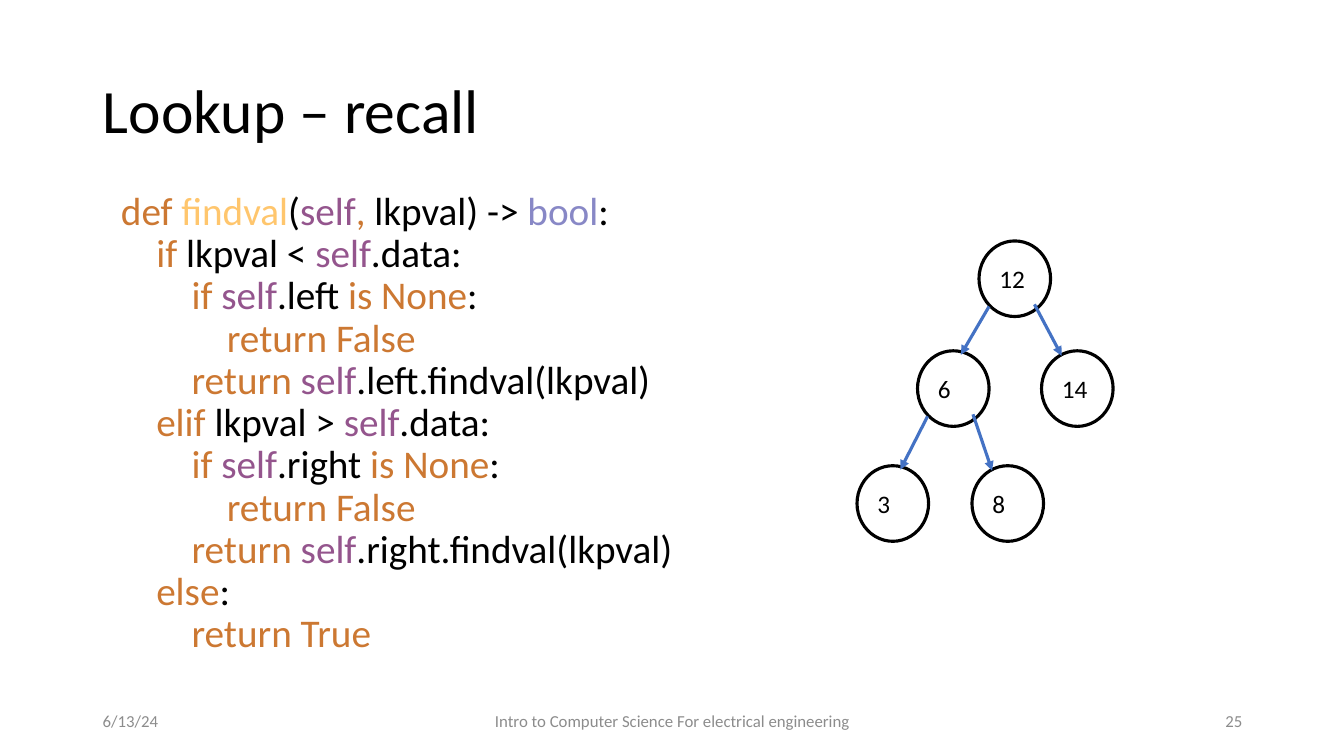
"""Build the slide that recalls lookup in a binary search tree."""
from lxml import etree
from pptx import Presentation, util as u
from pptx.dml.color import RGBColor
from pptx.enum import shapes, text
from pptx.oxml.ns import qn

COLORS = {"plain": "000000", "key": "CC7832", "name": "FFC66D", "self": "94558D",
          "type": "8888C6", "arrow": "4472C4", "footer": "8C8C8C"}
FONT = "Calibri"
TITLE = "Lookup – recall"
SELF = ("self", "self")
CODE = [
    (0, [("key", "def "), ("name", "findval"), ("plain", "("), SELF, ("key", ", "),
         ("plain", "lkpval) -> "), ("type", "bool"), ("plain", ":")]),
    (1, [("key", "if "), ("plain", "lkpval < "), SELF, ("plain", ".data:")]),
    (2, [("key", "if "), SELF, ("plain", ".left "), ("key", "is None"), ("plain", ":")]),
    (3, [("key", "return False")]),
    (2, [("key", "return "), SELF, ("plain", ".left.findval(lkpval)")]),
    (1, [("key", "elif "), ("plain", "lkpval > "), SELF, ("plain", ".data:")]),
    (2, [("key", "if "), SELF, ("plain", ".right "), ("key", "is None"), ("plain", ":")]),
    (3, [("key", "return False")]),
    (2, [("key", "return "), SELF, ("plain", ".right.findval(lkpval)")]),
    (1, [("key", "else"), ("plain", ":")]),
    (2, [("key", "return True")]),
]
NODES = {"12": (9.71, 2.39), "6": (9.1, 3.48), "14": (10.33, 3.48),
         "3": (8.5, 4.62), "8": (9.64, 4.62)}
EDGES = [("12", "6", "left"), ("12", "14", "right"), ("6", "3", "left"), ("6", "8", "right")]
EDGE_OFFSETS = {"left": ((0.1, 0.65), (0.43, 0.04)), "right": ((0.55, 0.63), (0.2, 0.05))}
NODE_SIZE = (0.71, 0.75)
INDENT = 0.35
FOOTERS = [
    ("6/13/24", 0.92, 3, text.PP_ALIGN.LEFT),
    ("Intro to Computer Science For electrical engineering", 4.42, 4.5, text.PP_ALIGN.CENTER),
    ("25", 9.42, 3, text.PP_ALIGN.RIGHT),
]


def inches(*values):
    return [u.Inches(value) for value in values]


def place(shape, *bounds):
    shape.left, shape.top, shape.width, shape.height = inches(*bounds)


def write(para, words, size=18, color="plain", align=text.PP_ALIGN.LEFT):
    para.alignment = align
    span = para.add_run()
    span.text = words
    span.font.name = FONT
    span.font.size = u.Pt(size)
    span.font.color.rgb = RGBColor.from_string(COLORS[color])


def add_code(body):
    place(body, 1.1, 1.85, 6.95, 4.76)
    frame = body.text_frame
    frame.auto_size = text.MSO_AUTO_SIZE.TEXT_TO_FIT_SHAPE
    for number, (level, tokens) in enumerate(CODE):
        para = frame.add_paragraph() if number else frame.paragraphs[0]
        para.line_spacing = 0.9
        para.space_before = u.Pt(0 if number else 10)
        for color, words in tokens:
            write(para, words, size=28, color=color)
        props = para._p.get_or_add_pPr()
        props.set("marL", str(u.Inches(INDENT * level)))
        props.set("indent", "0")
        etree.SubElement(props, qn("a:buNone"))


def add_node(slide, label, corner):
    node = slide.shapes.add_shape(shapes.MSO_SHAPE.OVAL, *inches(*corner, *NODE_SIZE))
    node.shadow.inherit = False
    node.fill.background()
    node.line.color.rgb = RGBColor.from_string(COLORS["plain"])
    node.line.width = u.Pt(2.25)
    node.text_frame.vertical_anchor = text.MSO_ANCHOR.MIDDLE
    write(node.text_frame.paragraphs[0], label)


def add_edge(slide, parent, child, side):
    start, end = [[base + shift for base, shift in zip(NODES[name], offset)]
                  for name, offset in zip((parent, child), EDGE_OFFSETS[side])]
    arrow = slide.shapes.add_connector(shapes.MSO_CONNECTOR.STRAIGHT, *inches(*start, *end))
    arrow.line.color.rgb = RGBColor.from_string(COLORS["arrow"])
    arrow.line.width = u.Pt(2.25)
    etree.SubElement(arrow.line._get_or_add_ln(), qn("a:tailEnd"), type="triangle")
    etree.SubElement(arrow._element.spPr, qn("a:effectLst"))


def main():
    deck = Presentation()
    deck.slide_width, deck.slide_height = inches(13.33, 7.5)
    slide = deck.slides.add_slide(deck.slide_layouts[1])
    title = slide.shapes.title
    place(title, 0.92, 0.4, 11.5, 1.45)
    title.text_frame.vertical_anchor = text.MSO_ANCHOR.MIDDLE
    title.text_frame.paragraphs[0].line_spacing = 0.9
    write(title.text_frame.paragraphs[0], TITLE, size=44)
    add_code(slide.placeholders[1])
    for words, left, width, align in FOOTERS:
        box = slide.shapes.add_textbox(*inches(left, 6.95, width, 0.4))
        box.text_frame.word_wrap = True
        box.text_frame.vertical_anchor = text.MSO_ANCHOR.MIDDLE
        write(box.text_frame.paragraphs[0], words, size=12, color="footer", align=align)
    for label, corner in NODES.items():
        add_node(slide, label, corner)
    for edge in EDGES:
        add_edge(slide, *edge)
    deck.save("out.pptx")


if __name__ == "__main__":
    main()
